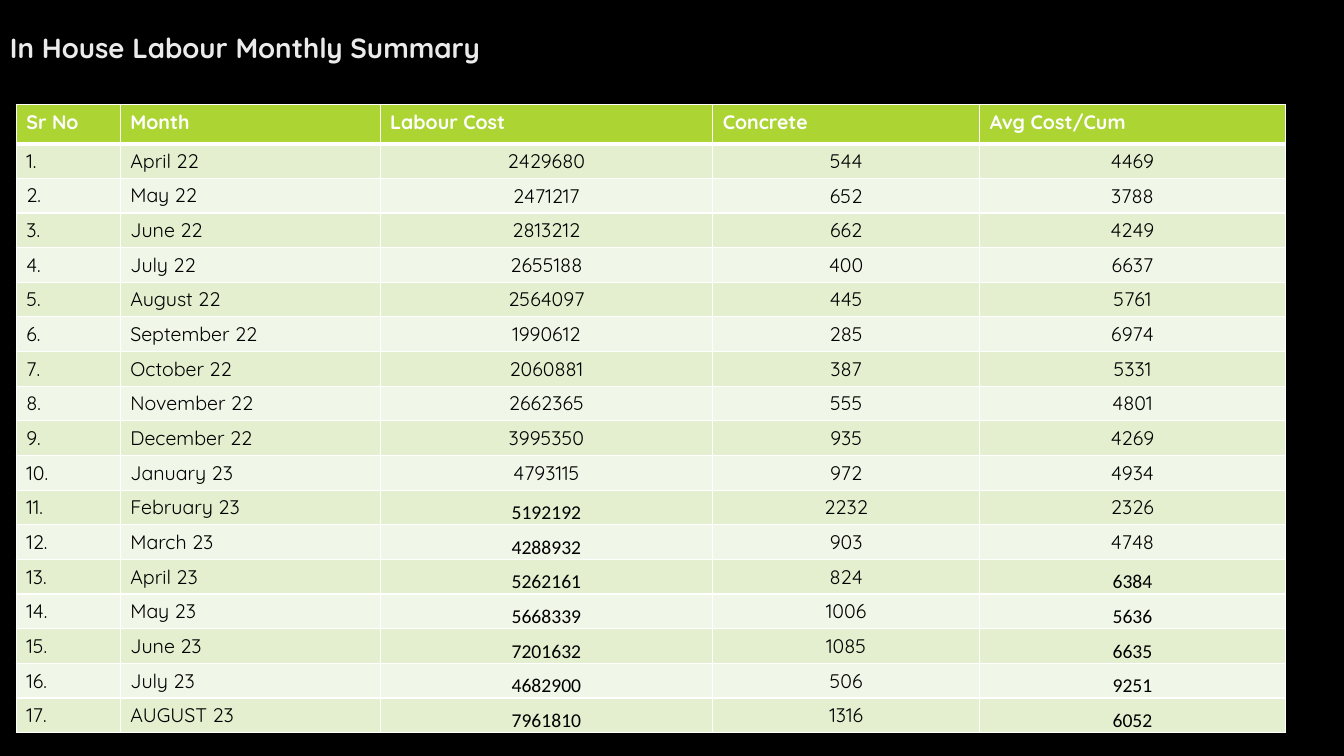
from lxml import etree
from pptx import Presentation
from pptx.dml.color import RGBColor
from pptx.enum.text import MSO_ANCHOR, PP_ALIGN
from pptx.oxml.ns import qn
from pptx.util import Cm, Pt

TOP, MIDDLE, BOTTOM = MSO_ANCHOR.TOP, MSO_ANCHOR.MIDDLE, MSO_ANCHOR.BOTTOM
LEFT, CENTER = PP_ALIGN.LEFT, PP_ALIGN.CENTER

HEADINGS = ["Sr No", "Month", "Labour Cost", "Concrete", "Avg Cost/Cum"]
MONTHS = [
    ("April 22", 2429680, 544, 4469),
    ("May 22", 2471217, 652, 3788),
    ("June 22", 2813212, 662, 4249),
    ("July 22", 2655188, 400, 6637),
    ("August 22", 2564097, 445, 5761),
    ("September 22", 1990612, 285, 6974),
    ("October 22", 2060881, 387, 5331),
    ("November 22", 2662365, 555, 4801),
    ("December 22", 3995350, 935, 4269),
    ("January 23", 4793115, 972, 4934),
    ("February 23", 5192192, 2232, 2326),
    ("March 23", 4288932, 903, 4748),
    ("April 23", 5262161, 824, 6384),
    ("May 23", 5668339, 1006, 5636),
    ("June 23", 7201632, 1085, 6635),
    ("July 23", 4682900, 506, 9251),
    ("AUGUST 23", 7961810, 1316, 6052),
]
COLUMN_WIDTHS = [2.62, 6.55, 8.38, 6.73, 7.7]
# Column index -> first row set in the number font
NUMBER_FONT_FROM = {2: 11, 4: 13}


def color(value):
    return RGBColor.from_string(value)


class SummaryPage:
    font = "Quicksand"
    number_font = "Calibri"
    white, black, title_color = "FFFFFF", "000000", "EBEBEB"
    header_fill = "ACD433"
    band_fills = ["F1F7E8", "E3EFCE"]

    def __init__(self, deck):
        self.page = deck.slides.add_slide(deck.slide_layouts[5])
        self.page.background.fill.solid()
        self.page.background.fill.fore_color.rgb = color(self.black)

    def format_text(self, frame, size, text_color, bold=False, font=None, align=LEFT):
        para = frame.paragraphs[0]
        para.alignment = align
        for span in para.runs:
            span.font.name = font or self.font
            span.font.size = Pt(size)
            span.font.bold = bold
            span.font.color.rgb = color(text_color)

    def title(self, text):
        box = self.page.shapes.title
        box.left, box.top, box.width, box.height = Cm(0), Cm(0), Cm(29.8), Cm(1.7)
        frame = box.text_frame
        frame.text = text
        frame.vertical_anchor = BOTTOM
        frame.margin_left = Cm(0.25)
        frame.margin_bottom = Cm(0.08)
        self.format_text(frame, 19.8, self.title_color, bold=True)

    def borders(self, cell, bottom):
        properties = cell._tc.get_or_add_tcPr()
        for side, width in (("L", 1), ("R", 1), ("T", 1), ("B", bottom)):
            line = etree.SubElement(properties, qn(f"a:ln{side}"), w=str(Pt(width)))
            fill = etree.SubElement(line, qn("a:solidFill"))
            etree.SubElement(fill, qn("a:srgbClr"), val=self.white)

    def cell(self, cell, text, row, column):
        header = row == 0
        self.borders(cell, 3 if header else 1)
        cell.fill.solid()
        fill = self.header_fill if header else self.band_fills[row % 2]
        cell.fill.fore_color.rgb = color(fill)
        cell.text_frame.text = text
        if header:
            self.format_text(cell.text_frame, 14, self.white, bold=True)
            return

        font, align, anchor = self.font, LEFT, TOP
        if column >= 2:
            align, anchor = CENTER, MIDDLE
            cell.margin_left = cell.margin_right = Cm(0)
            cell.margin_top = cell.margin_bottom = Cm(0)
            if row >= NUMBER_FONT_FROM.get(column, len(MONTHS) + 1):
                font, anchor = self.number_font, BOTTOM
        cell.vertical_anchor = anchor
        self.format_text(cell.text_frame, 14, self.black, font=font, align=align)

    def table(self, rows):
        header_height, row_height = 0.99, 0.87
        height = header_height + row_height * (len(rows) - 1)
        table = self.page.shapes.add_table(
            len(rows), len(COLUMN_WIDTHS), Cm(0.41), Cm(2.63),
            Cm(sum(COLUMN_WIDTHS)), Cm(height)).table
        for column, width in zip(table.columns, COLUMN_WIDTHS):
            column.width = Cm(width)
        for row, values in enumerate(rows):
            table.rows[row].height = Cm(row_height if row else header_height)
            for column, value in enumerate(values):
                self.cell(table.cell(row, column), str(value), row, column)


def main():
    deck = Presentation()
    deck.slide_width, deck.slide_height = Cm(33.87), Cm(19.05)
    summary = SummaryPage(deck)

    # Title
    summary.title("In House Labour Monthly Summary")

    # Monthly table, numbered from 1
    numbered = [(f"{number}.", *month) for number, month in enumerate(MONTHS, 1)]
    summary.table([HEADINGS] + numbered)

    deck.save("out.pptx")


if __name__ == "__main__":
    main()
